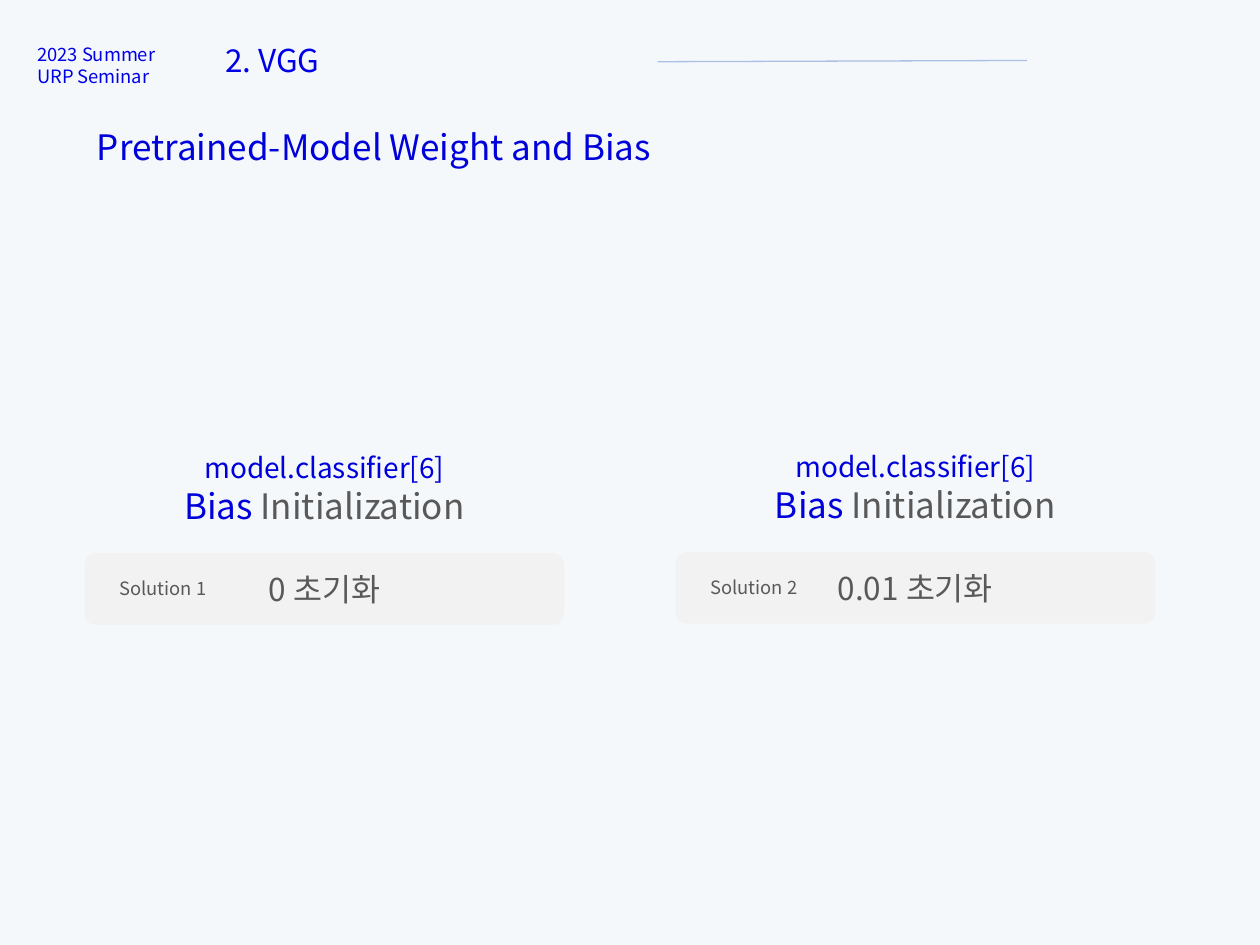
from lxml import etree
from pptx import Presentation
from pptx import util as u
from pptx.dml.color import RGBColor
from pptx.enum import shapes, text
from pptx.oxml import ns

WIDTH, HEIGHT = 10, 7.5
FONT = "Noto Sans CJK KR"
BACKGROUND = RGBColor(0xF4, 0xF8, 0xFB)
HEADER_BLUE = RGBColor(0x00, 0x00, 0xE6)
TITLE_BLUE = RGBColor(0x00, 0x00, 0xDA)
GREY = RGBColor(0x59, 0x59, 0x59)
PANEL = RGBColor(0xF2, 0xF2, 0xF2)
RULE = RGBColor(0xAB, 0xC0, 0xE4)
LEFT, CENTER = text.PP_ALIGN.LEFT, text.PP_ALIGN.CENTER


def box(left, top, width, height):
    return [u.Inches(length) for length in (left, top, width, height)]


def style(paragraph, size, color=None, align=LEFT):
    """Set the shared font of a paragraph, for Latin and Korean letters."""
    paragraph.alignment = align
    font = paragraph.font
    font.name, font.size = FONT, u.Pt(size)
    if color is not None:
        font.color.rgb = color
    properties = paragraph._p.pPr.find(ns.qn("a:defRPr"))
    etree.SubElement(properties, ns.qn("a:ea"), typeface=FONT)


def add_text(slide, place, lines, size, color, align=LEFT, wrap=True):
    frame = slide.shapes.add_textbox(*box(*place)).text_frame
    frame.word_wrap = wrap
    frame.text = "\n".join(lines)
    for paragraph in frame.paragraphs:
        style(paragraph, size, color, align)
    return frame


def add_rule(slide, start, end):
    rule = slide.shapes.add_connector(
        shapes.MSO_CONNECTOR.STRAIGHT, *box(*start, *end))
    rule.line.color.rgb = RULE
    rule.line.width = u.Pt(0.75)
    etree.SubElement(rule._element.spPr, ns.qn("a:effectLst"))


def add_panel(slide, place, wording):
    panel = slide.shapes.add_shape(
        shapes.MSO_SHAPE.ROUNDED_RECTANGLE, *box(*place))
    panel.shadow.inherit = False
    panel.fill.solid()
    panel.fill.fore_color.rgb = PANEL
    panel.line.fill.background()
    frame = panel.text_frame
    frame.vertical_anchor = text.MSO_ANCHOR.MIDDLE
    frame.text = wording
    style(frame.paragraphs[0], 18, GREY, CENTER)


def add_solution(slide, left, top, label, value):
    """Heading over a panel that holds the label and the starting value."""
    add_panel(slide, (left, top + 0.86, 3.81, 0.57), value)
    add_text(slide, (left + 0.16, top + 1, 0.93, 0.28), [label],
             10.5, GREY, CENTER, wrap=False)
    heading = add_text(slide, (left + 0.64, top, 2.53, 0.71),
                       ["model.classifier[6]"], 16, TITLE_BLUE, CENTER,
                       wrap=False)
    subject = heading.add_paragraph()
    style(subject, 20, align=CENTER)
    for word, color in (("Bias ", TITLE_BLUE), ("Initialization", GREY)):
        run = subject.add_run()
        run.text = word
        run.font.color.rgb = color


def main():
    deck = Presentation()
    deck.slide_width, deck.slide_height = u.Inches(WIDTH), u.Inches(HEIGHT)
    slide = deck.slides.add_slide(deck.slide_layouts[6])
    slide.background.fill.solid()
    slide.background.fill.fore_color.rgb = BACKGROUND

    # Header
    add_text(slide, (1.69, 0.28, 3.53, 0.4), ["2. VGG"], 18, HEADER_BLUE)
    add_text(slide, (0.2, 0.29, 1.2, 0.45), ["2023 Summer", "URP Seminar"],
             10.5, HEADER_BLUE, wrap=False)
    add_rule(slide, (5.22, 0.49), (8.15, 0.48))

    # Title
    add_text(slide, (0.67, 0.95, 5.79, 0.44),
             ["Pretrained-Model Weight and Bias"], 20, TITLE_BLUE)

    # Two solutions side by side
    add_solution(slide, 0.67, 3.53, "Solution 1", "0 초기화")
    add_solution(slide, 5.36, 3.52, "Solution 2", "0.01 초기화")

    deck.save("out.pptx")


if __name__ == "__main__":
    main()
